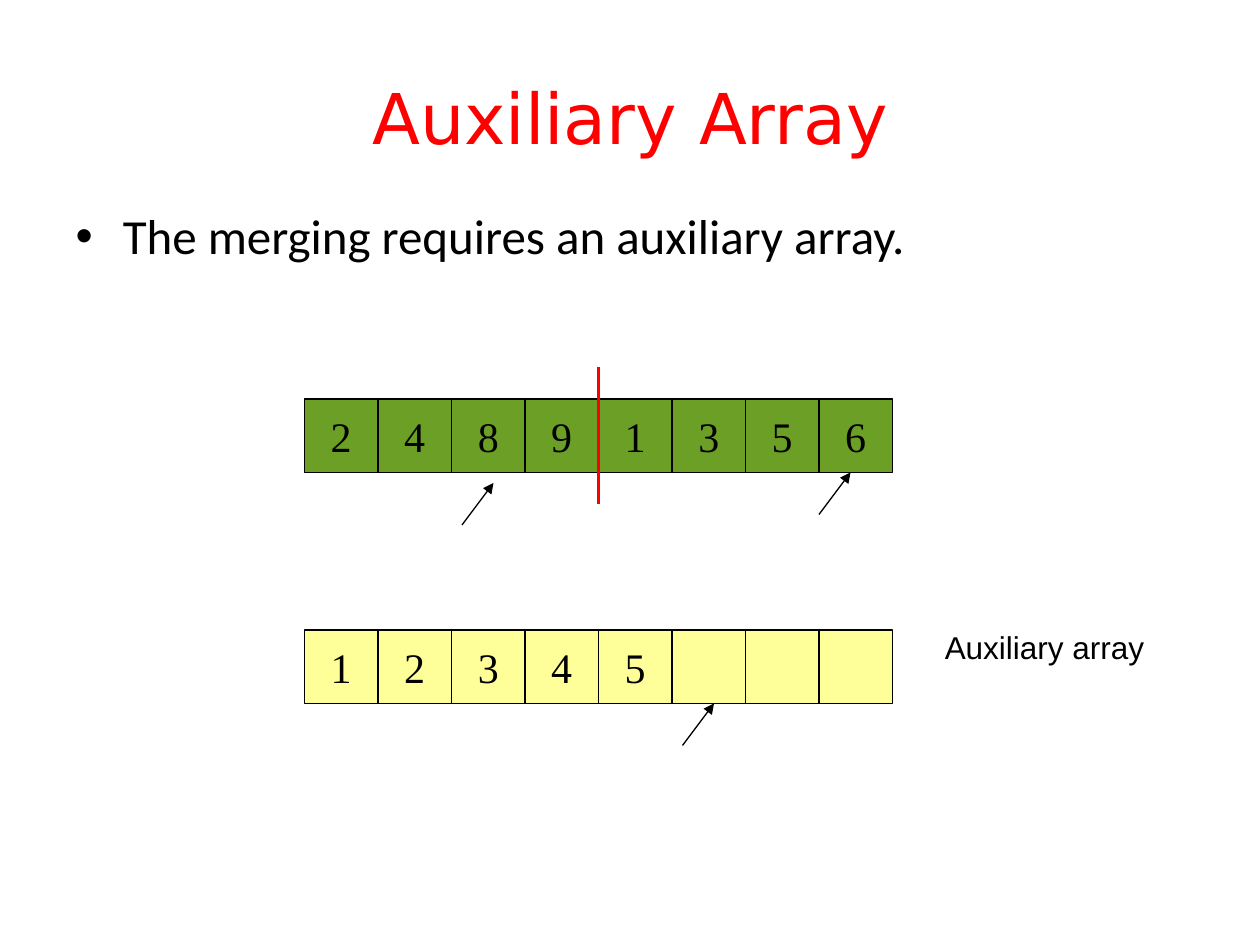
from lxml.etree import SubElement
from pptx import Presentation
from pptx.dml.color import RGBColor
from pptx.enum.shapes import MSO_CONNECTOR, MSO_SHAPE
from pptx.enum.text import MSO_ANCHOR, MSO_AUTO_SIZE, PP_ALIGN
from pptx.oxml.ns import qn
from pptx.util import Inches, Pt

TITLE = "Auxiliary Array"
POINT = "The merging requires an auxiliary array."
LABEL = "Auxiliary array"
ARRAYS = [
    {"values": ["2", "4", "8", "9", "1", "3", "5", "6"], "row": 38, "fill": "green"},
    {"values": ["1", "2", "3", "4", "5", "", "", ""], "row": 60, "fill": "yellow"},
]
POINTERS = [(44, 50), (78, 49), (65, 71)]
POINTER_STEP = (3, -4)
DIVIDER = ((57, 35), (57, 48))
FIRST_COLUMN, CELL = 29, 7

COLORS = {"red": "FF0000", "black": "000000", "green": "6B9F25", "yellow": "FFFF99"}
FORMATS = {
    "title": {"name": "DejaVu Sans", "size": Pt(40), "color": "red"},
    "point": {"name": "Calibri", "size": Pt(28), "color": "black"},
    "cell": {"name": "Times New Roman", "size": Pt(24), "color": "black"},
    "label": {"name": "Arial", "size": Pt(18), "color": "black"},
}

WIDTH, HEIGHT = Inches(10), Inches(7.5)
COLUMNS, ROWS = 120, 90


def across(columns):
    return round(WIDTH * columns / COLUMNS)


def down(rows):
    return round(HEIGHT * rows / ROWS)


def area(left, top, width, height):
    return across(left), down(top), across(width), down(height)


def color(name):
    return RGBColor.from_string(COLORS[name])


def write(holder, text, style, align=PP_ALIGN.LEFT):
    paragraph = holder.text_frame.paragraphs[0]
    paragraph.alignment = align
    run = paragraph.add_run()
    run.text = text
    for attribute, value in FORMATS[style].items():
        if attribute == "color":
            run.font.color.rgb = color(value)
        else:
            setattr(run.font, attribute, value)


def place(holder, bounds):
    for attribute, value in zip(("left", "top", "width", "height"), area(*bounds)):
        setattr(holder, attribute, value)


def add_cell(slide, column, row, value, fill):
    cell = slide.shapes.add_shape(MSO_SHAPE.RECTANGLE, *area(column, row, CELL, CELL))
    cell.shadow.inherit = False
    cell.fill.solid()
    cell.fill.fore_color.rgb = color(fill)
    cell.line.color.rgb = color("black")
    cell.line.width = Pt(0.75)
    if value:
        cell.text_frame.word_wrap = False
        cell.text_frame.vertical_anchor = MSO_ANCHOR.MIDDLE
        write(cell, value, "cell", PP_ALIGN.CENTER)


def add_line(slide, start, end, stroke, width, arrow=False):
    line = slide.shapes.add_connector(
        MSO_CONNECTOR.STRAIGHT,
        across(start[0]), down(start[1]), across(end[0]), down(end[1]),
    )
    line.line.color.rgb = color(stroke)
    line.line.width = Pt(width)
    if arrow:
        SubElement(line.line._get_or_add_ln(), qn("a:tailEnd"), type="triangle")
    SubElement(line._element.spPr, qn("a:effectLst"))


def main():
    presentation = Presentation()
    presentation.slide_width, presentation.slide_height = WIDTH, HEIGHT
    slide = presentation.slides.add_slide(presentation.slide_layouts[1])

    title, body = slide.shapes.title, slide.placeholders[1]
    place(title, (6, 3.6, 108, 15))
    title.text_frame.vertical_anchor = MSO_ANCHOR.MIDDLE
    write(title, TITLE, "title", PP_ALIGN.CENTER)
    place(body, (6, 19, 108, 61.4))
    write(body, POINT, "point")

    for array in ARRAYS:
        for index, value in enumerate(array["values"]):
            add_cell(slide, FIRST_COLUMN + index * CELL, array["row"], value, array["fill"])

    add_line(slide, *DIVIDER, "red", 2.25)
    for column, row in POINTERS:
        tip = column + POINTER_STEP[0], row + POINTER_STEP[1]
        add_line(slide, (column, row), tip, "black", 0.75, arrow=True)

    label = slide.shapes.add_textbox(*area(88.8, 59.2, 23.5, 5.2))
    label.text_frame.word_wrap = False
    label.text_frame.auto_size = MSO_AUTO_SIZE.SHAPE_TO_FIT_TEXT
    write(label, LABEL, "label")

    presentation.save("out.pptx")


if __name__ == "__main__":
    main()
